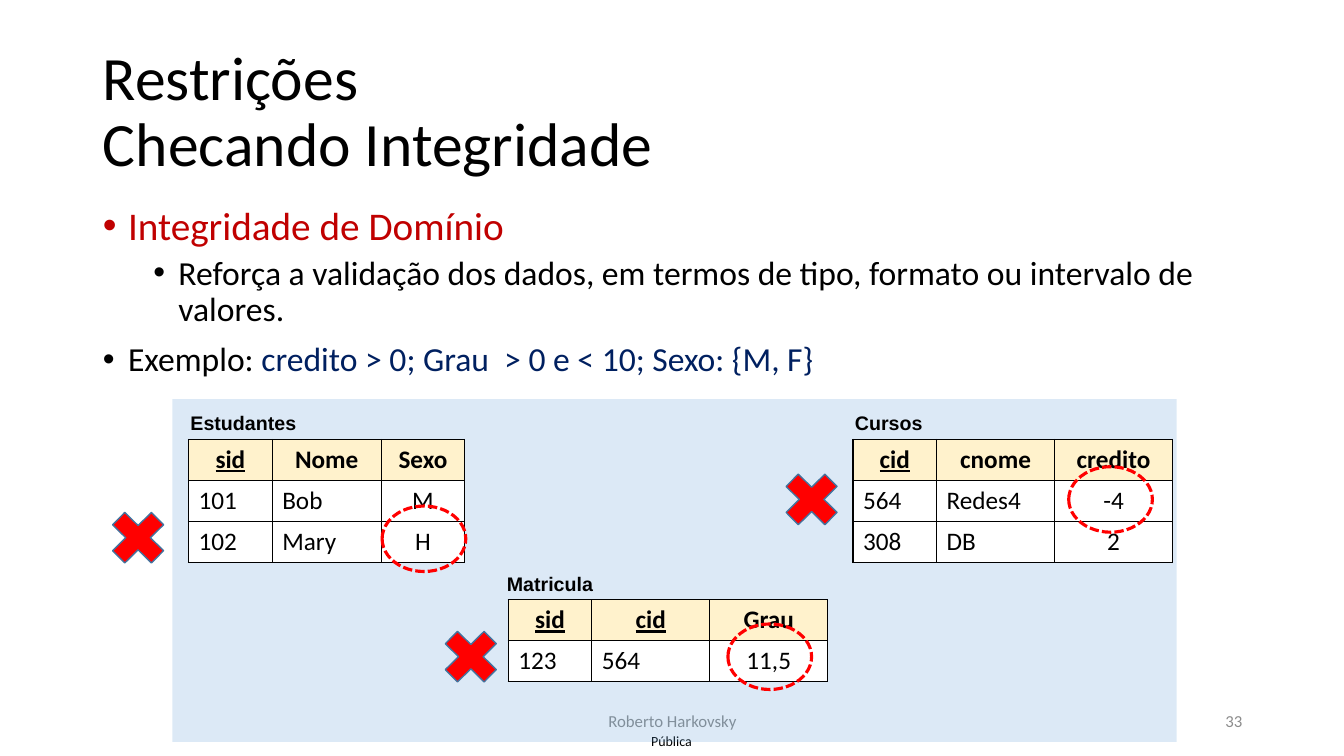
"""Build the slide on domain integrity constraints with its three example tables."""
import pptx
import pptx.chart.data
import pptx.dml.color
import pptx.enum.dml
import pptx.enum.shapes
import pptx.enum.text
import pptx.oxml
import pptx.util

Inches = pptx.util.Inches
Pt = pptx.util.Pt
Align = pptx.enum.text.PP_ALIGN
Anchor = pptx.enum.text.MSO_ANCHOR
Shape = pptx.enum.shapes.MSO_SHAPE
NAMESPACE = 'xmlns:a="http://schemas.openxmlformats.org/drawingml/2006/main"'


def color(value):
    return pptx.dml.color.RGBColor.from_string(value)


def add_span(para, text, size, value="000000", name="Calibri", bold=False, underline=False):
    span = para.add_run()
    span.text = text
    span.font.size = Pt(size)
    span.font.name = name
    span.font.color.rgb = color(value)
    span.font.bold = bold
    span.font.underline = underline


deck = pptx.Presentation()
deck.slide_width = Inches(13.33)
deck.slide_height = Inches(7.5)
page = deck.slides.add_slide(deck.slide_layouts[1])

title = page.shapes.title
title.left, title.top, title.width, title.height = map(Inches, (0.92, 0.4, 11.5, 1.45))
title.text_frame.vertical_anchor = Anchor.MIDDLE
para = title.text_frame.paragraphs[0]
para.alignment = Align.LEFT
para.line_spacing = 0.9
add_span(para, "Restrições", 44)
para.add_line_break()
add_span(para, "Checando Integridade", 44)

body = page.placeholders[1]
body.left, body.top, body.width, body.height = map(Inches, (0.92, 2, 11.5, 4.76))
bullets = [
    (0, 0, 28, [("Integridade de Domínio", "C00000")]),
    (1, 5, 24, [("Reforça a validação dos dados, em termos de tipo, formato ou "
                 "intervalo de valores.", "000000")]),
    (0, 10, 24, [("Exemplo: ", "000000"),
                 ("credito > 0; Grau  > 0 e < 10; Sexo: {M, F}", "002060")]),
]
for index, (level, space, size, spans) in enumerate(bullets):
    para = body.text_frame.paragraphs[0] if index == 0 else body.text_frame.add_paragraph()
    para.level = level
    para.line_spacing = 0.9
    para.space_before = Pt(space)
    properties = para._p.get_or_add_pPr()
    properties.set("marL", str(Inches(0.25 + 0.5 * level)))
    properties.set("indent", str(Inches(-0.25)))
    for tag in ('buFont typeface="Arial"', 'buChar char="•"'):
        properties.append(pptx.oxml.parse_xml(f"<a:{tag} {NAMESPACE}/>"))
    for text, value in spans:
        add_span(para, text, size, value)

footers = [
    ("Pública", 6.31, 7.21, 0.7, 0.29, 10, "000000", Align.CENTER),
    ("33", 9.42, 6.95, 3, 0.4, 12, "8C8C8C", Align.RIGHT),
    ("Roberto Harkovsky", 4.42, 6.95, 4.5, 0.4, 12, "8C8C8C", Align.CENTER),
]
for text, left, top, width, height, size, value, align in footers:
    box = page.shapes.add_textbox(Inches(left), Inches(top), Inches(width), Inches(height))
    frame = box.text_frame
    frame.word_wrap = True
    frame.vertical_anchor = Anchor.MIDDLE
    if size == 10:
        frame.margin_left = frame.margin_right = frame.margin_top = frame.margin_bottom = 0
    frame.paragraphs[0].alignment = align
    add_span(frame.paragraphs[0], text, size, value)

panel = page.shapes.add_shape(
    Shape.RECTANGLE, Inches(1.71), Inches(3.96), Inches(9.96), Inches(3.4))
panel.shadow.inherit = False
panel.fill.solid()
panel.fill.fore_color.rgb = color("5B9BD5")
panel.fill._xPr.find(".//{*}srgbClr").append(
    pptx.oxml.parse_xml(f'<a:alpha {NAMESPACE} val="21000"/>'))
panel.line.fill.background()

tables = [
    ("Estudantes", 1.5, 1.87, 4.36, (0.83, 1.08, 0.83), {"sid"},
     [("sid", "Nome", "Sexo"), ("101", "Bob", "M"), ("102", "Mary", "H")]),
    ("Cursos", 7.9, 8.46, 4.36, (0.83, 1.17, 1.17), {"cid"},
     [("cid", "cnome", "credito"), ("564", "Redes4", "-4"), ("308", "DB", "2")]),
    ("Matricula", 4.54, 5.04, 5.95, (0.83, 1.17, 1.17), {"sid", "cid"},
     [("sid", "cid", "Grau"), ("123", "564", "11,5")]),
]
row_height = 0.406
for name, label_left, left, top, widths, keys, rows in tables:
    label = page.shapes.add_textbox(
        Inches(label_left), Inches(top - 0.33), Inches(1.83), Inches(0.34))
    label.text_frame.word_wrap = True
    para = label.text_frame.paragraphs[0]
    para.alignment = Align.CENTER
    add_span(para, name, 14, name="Arial", bold=True)

    grid = page.shapes.add_table(
        len(rows), len(widths), Inches(left), Inches(top),
        Inches(sum(widths)), Inches(row_height * len(rows))).table
    for column, width in zip(grid.columns, widths):
        column.width = Inches(width)
    for row_index, row in enumerate(rows):
        grid.rows[row_index].height = Inches(row_height)
        header = row_index == 0
        for column_index, text in enumerate(row):
            cell = grid.cell(row_index, column_index)
            para = cell.text_frame.paragraphs[0]
            centred = header or column_index == len(row) - 1
            para.alignment = Align.CENTER if centred else Align.LEFT
            add_span(para, text, 18, bold=header, underline=header and text in keys)
            properties = cell._tc.get_or_add_tcPr()
            for side in "LRTB":
                properties.append(pptx.oxml.parse_xml(
                    f'<a:ln{side} {NAMESPACE} w="12700"><a:solidFill>'
                    f'<a:srgbClr val="000000"/></a:solidFill></a:ln{side}>'))
            cell.fill.solid()
            cell.fill.fore_color.rgb = color("FFF2CC" if header else "FFFFFF")

violations = [(3.79, 5.02, 1, 4.97), (7.22, 6.19, 4.3, 6.15), (10.6, 4.63, 7.68, 4.59)]
for ring_left, ring_top, cross_left, cross_top in violations:
    ring = page.shapes.add_shape(
        Shape.OVAL, Inches(ring_left), Inches(ring_top), Inches(0.83), Inches(0.65))
    ring.shadow.inherit = False
    ring.fill.background()
    ring.line.color.rgb = color("FF0000")
    ring.line.width = Pt(2.25)
    ring.line.dash_style = pptx.enum.dml.MSO_LINE.SQUARE_DOT

    cross = page.shapes.add_shape(
        Shape.MATH_MULTIPLY, Inches(cross_left), Inches(cross_top), Inches(0.74), Inches(0.73))
    cross.shadow.inherit = False
    cross.fill.solid()
    cross.fill.fore_color.rgb = color("FF0000")
    cross.line.color.rgb = color("43739E")
    cross.line.width = Pt(1)

deck.save("out.pptx")
